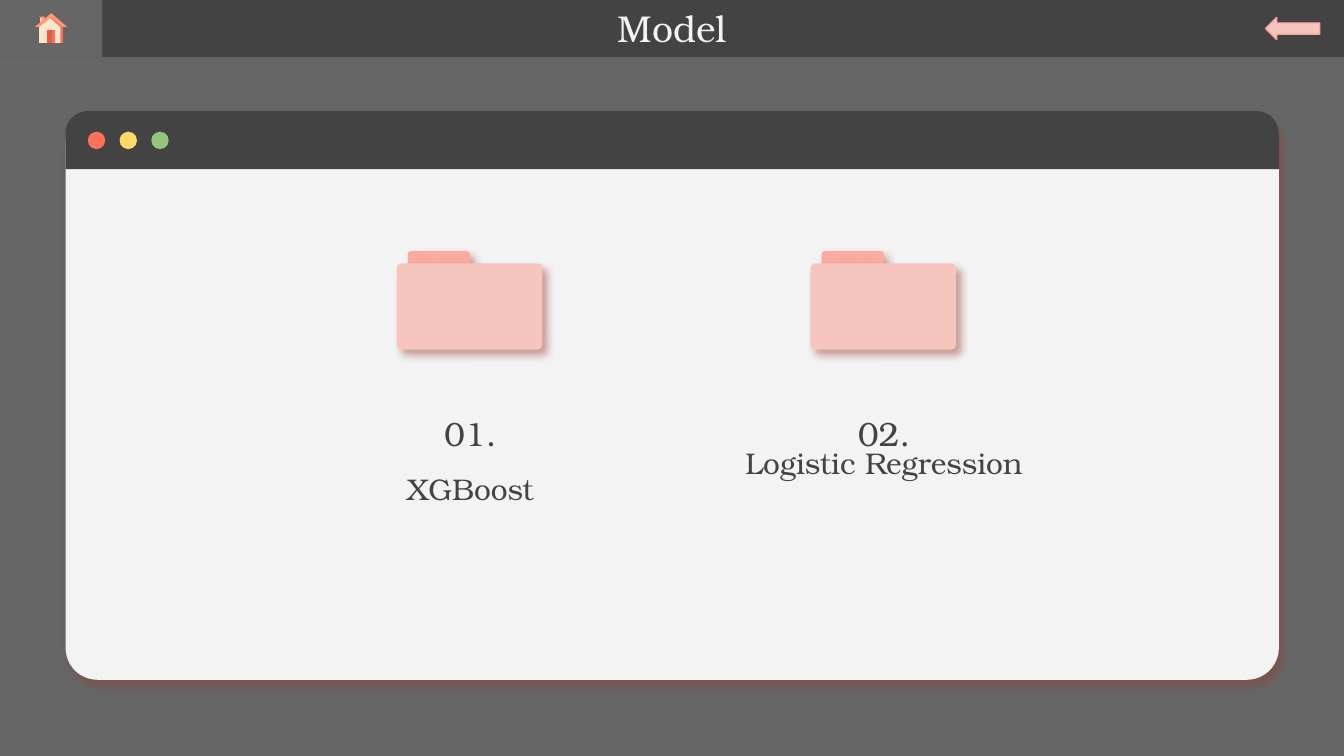
import dataclasses
import typing

import lxml.etree
import pptx
import pptx.dml.color
import pptx.enum.shapes
import pptx.enum.text
import pptx.oxml.ns
import pptx.util

Cm = pptx.util.Cm
Pt = pptx.util.Pt
Shapes = pptx.enum.shapes.MSO_SHAPE
Anchor = pptx.enum.text.MSO_ANCHOR


@dataclasses.dataclass(frozen=True)
class Theme:
    font: str = "TeX Gyre Bonum"
    background: str = "666666"
    dark: str = "434343"
    light: str = "F3F3F3"
    pink: str = "F6C5BE"
    rose: str = "F9ABA0"
    red: str = "FF7058"
    yellow: str = "FFD966"
    green: str = "93C47D"
    brick: str = "E55A43"
    cream: str = "FCE5CD"
    orange: str = "FF9A75"
    shadow: str = "963A2A"
    title_size: int = 20
    number_size: int = 18
    name_size: int = 16


THEME = Theme()


class Box(typing.NamedTuple):
    left: float
    top: float
    width: float
    height: float

    def lengths(self) -> list[pptx.util.Length]:
        return [Cm(value) for value in self]


class Model(typing.NamedTuple):
    number: str
    name: str
    name_anchor: Anchor


class Piece(typing.NamedTuple):
    color: str
    points: list[tuple[int, int]]


MODELS = [
    Model("01.", "XGBoost", Anchor.MIDDLE),
    Model("02.", "Logistic Regression", Anchor.TOP),
]
MODEL_LEFT, MODEL_PITCH = 5.89, 7.82

HOUSE = [
    Piece(THEME.pink, [(76, 33), (76, 43), (84, 36), (84, 33)]),
    Piece(THEME.rose, [(79, 33), (79, 41), (84, 36), (84, 33)]),
    Piece(THEME.cream, [(97, 30), (74, 51), (74, 81), (119, 81), (119, 51)]),
    Piece(THEME.red, [(97, 30), (94, 33), (114, 51), (114, 81), (119, 81), (119, 51)]),
    Piece(THEME.brick, [(74, 30), (74, 33), (84, 33), (84, 30)]),
    Piece(THEME.brick, [(89, 56), (89, 81), (104, 81), (104, 56)]),
    Piece(THEME.red, [(99, 56), (99, 81), (104, 81), (104, 56)]),
    Piece(THEME.orange, [(97, 25), (66, 51), (74, 51), (97, 33), (119, 51), (127, 51)]),
    Piece(THEME.red, [(81, 30), (81, 33), (84, 33), (84, 30)]),
]


def rgb(color: str) -> pptx.dml.color.RGBColor:
    return pptx.dml.color.RGBColor.from_string(color)


def paint(shape, color: str) -> None:
    shape.shadow.inherit = False
    shape.fill.solid()
    shape.fill.fore_color.rgb = rgb(color)
    shape.line.fill.background()


def add_block(slide, kind: Shapes, box: Box, color: str, corners: tuple[float, ...] = ()):
    shape = slide.shapes.add_shape(kind, *box.lengths())
    paint(shape, color)
    for index, corner in enumerate(corners):
        shape.adjustments[index] = corner
    return shape


def add_shadow(shape) -> None:
    qn = pptx.oxml.ns.qn
    effects = shape._element.spPr.find(qn("a:effectLst"))
    shadow = lxml.etree.SubElement(
        effects, qn("a:outerShdw"), blurRad=str(Pt(4.5)), dist=str(Pt(3.8)),
        dir=str(48 * 60000), algn="bl", rotWithShape="0",
    )
    color = lxml.etree.SubElement(shadow, qn("a:srgbClr"), val=THEME.shadow)
    lxml.etree.SubElement(color, qn("a:alpha"), val="47000")


def add_text(slide, box: Box, text: str, size: int, color: str, anchor: Anchor,
             bottom: float = 0.25, line_spacing: float = 1.0, space_after: int = 0) -> None:
    frame = slide.shapes.add_textbox(*box.lengths()).text_frame
    frame.word_wrap = True
    frame.vertical_anchor = anchor
    frame.margin_left = frame.margin_right = frame.margin_top = Cm(0.25)
    frame.margin_bottom = Cm(bottom)
    frame.text = text
    paragraph = frame.paragraphs[0]
    paragraph.alignment = pptx.enum.text.PP_ALIGN.CENTER
    paragraph.line_spacing = line_spacing
    paragraph.space_after = Pt(space_after)
    font = paragraph.runs[0].font
    font.name = THEME.font
    font.size = Pt(size)
    font.color.rgb = rgb(color)


def add_window(slide) -> None:
    panel = add_block(slide, Shapes.ROUNDED_RECTANGLE, Box(1.24, 2.1, 22.93, 10.75),
                      THEME.light, (0.056,))
    add_shadow(panel)
    add_block(slide, Shapes.ROUND_2_SAME_RECTANGLE, Box(1.24, 2.1, 22.93, 1.1),
              THEME.dark, (0.383, 0))
    for index, color in enumerate((THEME.red, THEME.yellow, THEME.green)):
        add_block(slide, Shapes.OVAL, Box(1.66 + 0.6 * index, 2.49, 0.33, 0.33), color)


def add_model(slide, model: Model, left: float) -> None:
    tab = add_block(slide, Shapes.ROUNDED_RECTANGLE, Box(left + 1.82, 4.75, 1.17, 0.56),
                    THEME.rose, (0.098,))
    folder = add_block(slide, Shapes.ROUNDED_RECTANGLE, Box(left + 1.61, 4.98, 2.75, 1.63),
                       THEME.pink, (0.056,))
    add_shadow(tab)
    add_shadow(folder)
    add_text(slide, Box(left, 7.19, 6, 1.37), model.number, THEME.number_size, THEME.dark,
             Anchor.BOTTOM, bottom=0, line_spacing=1.1, space_after=16)
    add_text(slide, Box(left, 8.15, 6, 2.16), model.name, THEME.name_size, THEME.dark,
             model.name_anchor, space_after=16)


def add_house(slide) -> None:
    for piece in HOUSE:
        builder = slide.shapes.build_freeform(*piece.points[0], scale=Cm(0.01))
        builder.add_line_segments(piece.points[1:], close=True)
        paint(builder.convert_to_shape(), piece.color)


def add_header(slide) -> None:
    add_block(slide, Shapes.RECTANGLE, Box(0, 0, 25.4, 1.08), THEME.dark)
    add_text(slide, Box(7.14, -0.15, 11.14, 1.37), "Model", THEME.title_size, THEME.light,
             Anchor.TOP)
    arrow = add_block(slide, Shapes.LEFT_ARROW, Box(23.92, 0.33, 1.02, 0.42), THEME.pink)
    arrow.line.color.rgb = rgb(THEME.rose)
    arrow.line.width = Pt(0.75)
    add_block(slide, Shapes.RECTANGLE, Box(0, 0, 1.93, 1.08), THEME.background)
    add_house(slide)


def main() -> None:
    presentation = pptx.Presentation()
    presentation.slide_width = Cm(25.4)
    presentation.slide_height = Cm(14.29)
    slide = presentation.slides.add_slide(presentation.slide_layouts[6])
    slide.background.fill.solid()
    slide.background.fill.fore_color.rgb = rgb(THEME.background)
    add_window(slide)
    for index, model in enumerate(MODELS):
        add_model(slide, model, MODEL_LEFT + MODEL_PITCH * index)
    add_header(slide)
    presentation.save("out.pptx")


if __name__ == "__main__":
    main()
